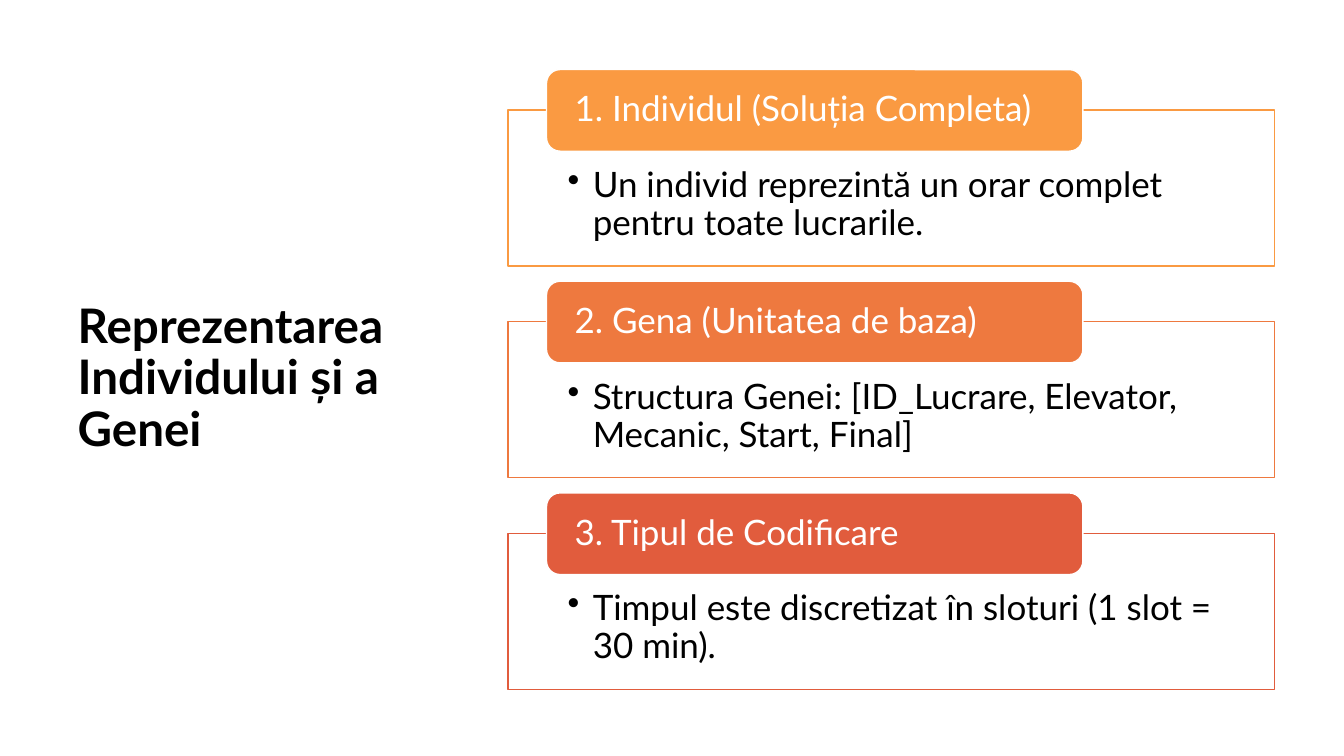
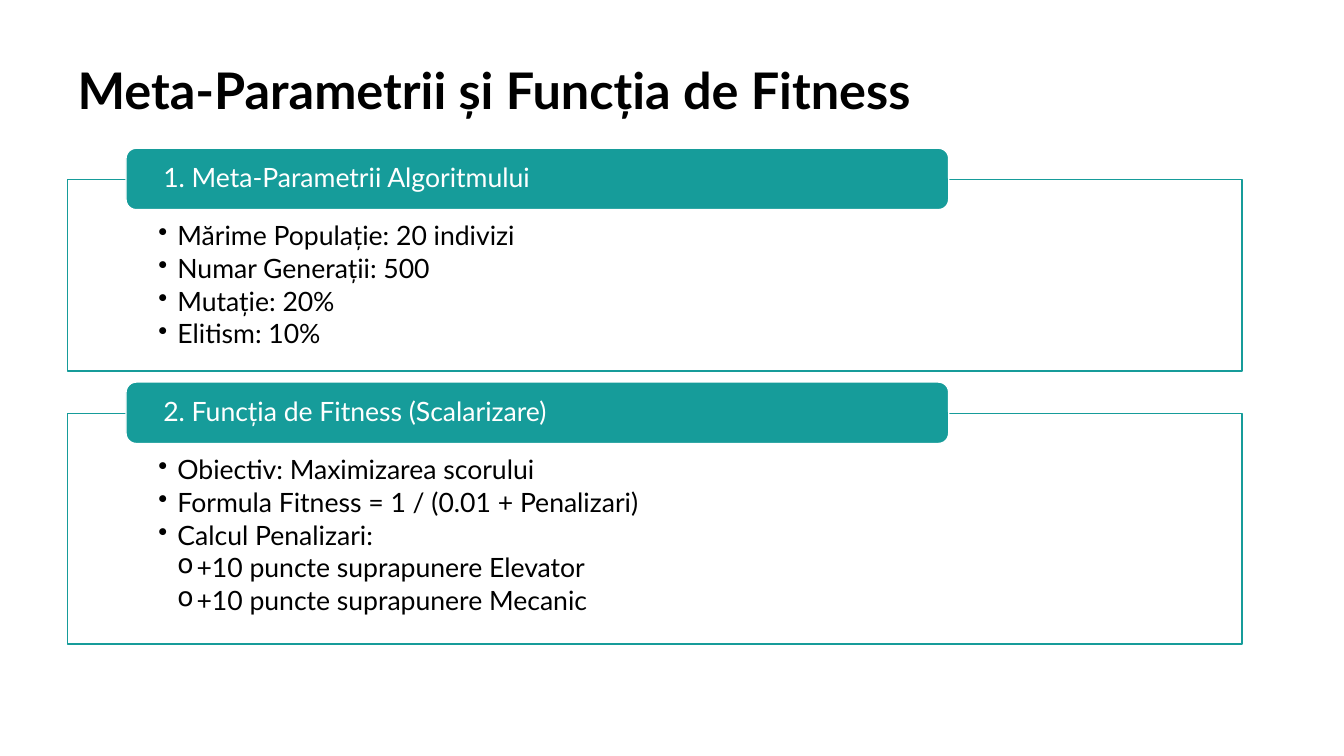
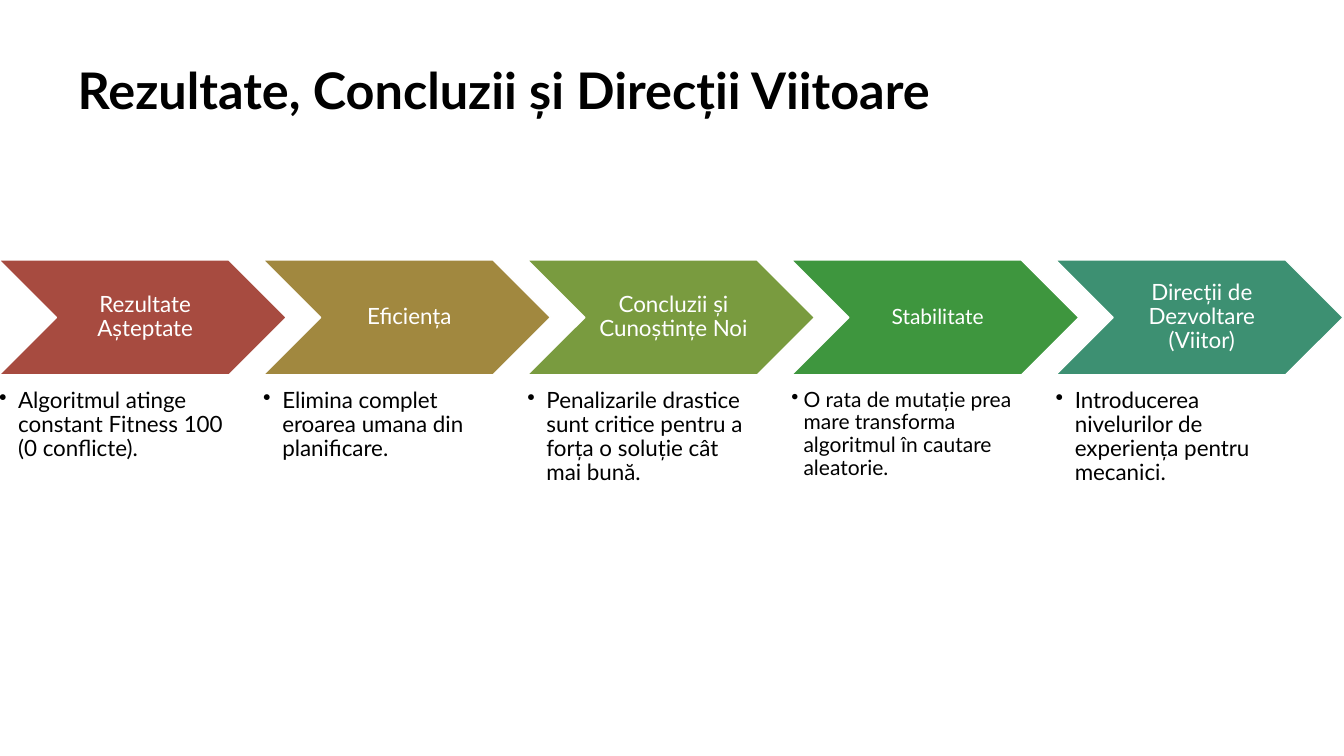
from dataclasses import dataclass

from lxml import etree
from pptx import Presentation
from pptx.dml.color import RGBColor
from pptx.enum import shapes, text
from pptx.oxml import ns
from pptx.util import Inches, Pt


@dataclass(frozen=True)
class Theme:
    font: str = "Lato"
    ink: str = "000000"
    paper: str = "FFFFFF"
    amber: str = "FA9A42"
    orange: str = "EE793F"
    coral: str = "E15C3D"
    teal: str = "169C9A"
    steps: tuple = ("A74B40", "A1883F", "799B3F", "3E963E", "3D9072")
    title_large: int = 36
    title_side: int = 34
    gene: int = 25
    parameter: int = 19
    step: int = 16
    step_small: int = 15
    line_spacing: float = 0.9
    item_spacing: float = 0.15
    panel_opacity: int = 90


@dataclass(frozen=True)
class StackStyle:
    left: float
    top: float
    width: float
    tab_indent: float
    tab_width: float
    tab_height: float
    tab_lift: float
    gap: float
    size: int
    bullet_indent: float
    panel_margins: tuple
    tab_margin: float


THEME = Theme()
MAIN_BULLET, SUB_BULLET = "•", "o"

GENE_STACK = StackStyle(
    left=5.04, top=0.69, width=7.6, tab_indent=0.38, tab_width=5.32,
    tab_height=0.81, tab_lift=0.4, gap=0.15, size=THEME.gene,
    bullet_indent=0.25, panel_margins=(0.59, 0.57, 0.59, 0.19), tab_margin=0.24)
PARAMETER_STACK = StackStyle(
    left=0.67, top=1.47, width=11.65, tab_indent=0.58, tab_width=8.16,
    tab_height=0.61, tab_lift=0.31, gap=0.11, size=THEME.parameter,
    bullet_indent=0.19, panel_margins=(0.9, 0.43, 0.9, 0.15), tab_margin=0.34)

GENE_CARDS = [
    ("1. Individul (Soluția Completa)", THEME.amber, 1.55,
     [(1, "Un individ reprezintă un orar complet pentru toate lucrarile.")]),
    ("2. Gena (Unitatea de baza)", THEME.orange, 1.55,
     [(1, "Structura Genei: [ID_Lucrare, Elevator, Mecanic, Start, Final]")]),
    ("3. Tipul de Codificare", THEME.coral, 1.55,
     [(1, "Timpul este discretizat în sloturi (1 slot = 30 min).")]),
]
PARAMETER_CARDS = [
    ("1. Meta-Parametrii Algoritmului", THEME.teal, 1.9, [
        (1, "Mărime Populație: 20 indivizi"),
        (1, "Numar Generații: 500"),
        (1, "Mutație: 20%"),
        (1, "Elitism: 10%"),
    ]),
    ("2. Funcția de Fitness (Scalarizare)", THEME.teal, 2.29, [
        (1, "Obiectiv: Maximizarea scorului"),
        (1, "Formula Fitness = 1 / (0.01 + Penalizari)"),
        (1, "Calcul Penalizari:"),
        (2, "+10 puncte suprapunere Elevator"),
        (2, "+10 puncte suprapunere Mecanic"),
    ]),
]
STEPS = [
    ("Rezultate Așteptate",
     "Algoritmul atinge constant Fitness 100 (0 conflicte).", THEME.step, 0.19),
    ("Eficiența",
     "Elimina complet eroarea umana din planificare.", THEME.step, 0.19),
    ("Concluzii și Cunoștințe Noi",
     "Penalizarile drastice sunt critice pentru a forța o soluție cât mai bună.",
     THEME.step, 0.19),
    ("Stabilitate",
     "O rata de mutație prea mare transforma algoritmul în cautare aleatorie.",
     THEME.step_small, 0.12),
    ("Direcții de Dezvoltare (Viitor)",
     "Introducerea nivelurilor de experiența pentru mecanici.", THEME.step, 0.19),
]


def color(value):
    return RGBColor.from_string(value)


def place(shape, left, top, width, height):
    shape.left, shape.top = Inches(left), Inches(top)
    shape.width, shape.height = Inches(width), Inches(height)


def format_paragraph(paragraph, size, ink, align=text.PP_ALIGN.LEFT, bold=False):
    paragraph.alignment = align
    paragraph.line_spacing = THEME.line_spacing
    for run in paragraph.runs:
        run.font.name = THEME.font
        run.font.size = Pt(size)
        run.font.bold = bold
        run.font.color.rgb = color(ink)


def set_frame(frame, margins, anchor):
    frame.word_wrap = True
    frame.auto_size = text.MSO_AUTO_SIZE.NONE
    frame.vertical_anchor = anchor
    (frame.margin_left, frame.margin_top,
     frame.margin_right, frame.margin_bottom) = map(Inches, margins)


def set_bullet(paragraph, character, level, indent):
    properties = paragraph._p.get_or_add_pPr()
    properties.set("marL", str(Inches(indent * level)))
    properties.set("indent", str(-Inches(indent)))
    bullet = etree.SubElement(properties, ns.qn("a:buChar"))
    bullet.set("char", character)


def fill_list(frame, items, size, indent):
    frame.text = "\n".join(item for _, item in items)
    for paragraph, (level, _) in zip(frame.paragraphs, items):
        set_bullet(paragraph, MAIN_BULLET if level == 1 else SUB_BULLET, level, indent)
        paragraph.level = level
        paragraph.space_after = Pt(size * THEME.item_spacing)
        format_paragraph(paragraph, size, THEME.ink)


def add_block(slide, kind, box, fill, line):
    shape = slide.shapes.add_shape(kind, *map(Inches, box))
    shape.shadow.inherit = False
    shape.fill.solid()
    shape.fill.fore_color.rgb = color(fill)
    shape.line.color.rgb = color(line)
    shape.line.width = Pt(1)
    return shape


def set_opacity(shape, percent):
    fill_color = shape.fill._xPr.find(ns.qn("a:solidFill"))[0]
    alpha = etree.SubElement(fill_color, ns.qn("a:alpha"))
    alpha.set("val", str(percent * 1000))


def add_label(shape, label, size, margins, align=text.PP_ALIGN.LEFT):
    frame = shape.text_frame
    set_frame(frame, margins, text.MSO_ANCHOR.MIDDLE)
    frame.text = label
    format_paragraph(frame.paragraphs[0], size, THEME.paper, align)


def add_titled_slide(presentation, title, box, size, anchor=text.MSO_ANCHOR.TOP):
    slide = presentation.slides.add_slide(
        presentation.slide_layouts.get_by_name("Title Only"))
    shape = slide.shapes.title
    place(shape, *box)
    set_frame(shape.text_frame, (0.1, 0.05, 0.1, 0.05), anchor)
    shape.text_frame.text = title
    format_paragraph(shape.text_frame.paragraphs[0], size, THEME.ink, bold=True)
    return slide


def add_card_stack(slide, style, cards):
    tab_top = style.top
    for label, accent, height, items in cards:
        panel_top = tab_top + style.tab_lift
        panel = add_block(slide, shapes.MSO_SHAPE.RECTANGLE,
                          (style.left, panel_top, style.width, height),
                          THEME.paper, accent)
        set_opacity(panel, THEME.panel_opacity)
        set_frame(panel.text_frame, style.panel_margins, text.MSO_ANCHOR.TOP)
        fill_list(panel.text_frame, items, style.size, style.bullet_indent)
        tab = add_block(slide, shapes.MSO_SHAPE.ROUNDED_RECTANGLE,
                        (style.left + style.tab_indent, tab_top,
                         style.tab_width, style.tab_height),
                        accent, THEME.paper)
        add_label(tab, label, style.size, (style.tab_margin, 0, style.tab_margin, 0))
        tab_top = panel_top + height + style.gap


def add_step(slide, left, accent, label, detail, size, indent):
    chevron = add_block(slide, shapes.MSO_SHAPE.CHEVRON,
                        (left, 2.58, 2.85, 1.14), accent, THEME.paper)
    add_label(chevron, label, size, (0.07, 0.02, 0.02, 0.02), text.PP_ALIGN.CENTER)
    box = slide.shapes.add_textbox(*map(Inches, (left, 3.86, 2.28, 1.28)))
    set_frame(box.text_frame, (0, 0, 0, 0), text.MSO_ANCHOR.TOP)
    fill_list(box.text_frame, [(1, detail)], size, indent)


def main():
    presentation = Presentation()
    presentation.slide_width = Inches(13.33)
    presentation.slide_height = Inches(7.5)

    slide = add_titled_slide(presentation, "Reprezentarea Individului și a Genei",
                             (0.67, 0.6, 3.82, 6.33), THEME.title_side,
                             text.MSO_ANCHOR.MIDDLE)
    add_card_stack(slide, GENE_STACK, GENE_CARDS)

    slide = add_titled_slide(presentation, "Meta-Parametrii și Funcția de Fitness",
                             (0.67, 0.6, 11.65, 1.24), THEME.title_large)
    add_card_stack(slide, PARAMETER_STACK, PARAMETER_CARDS)

    slide = add_titled_slide(presentation, "Rezultate, Concluzii și Direcții Viitoare",
                             (0.67, 0.6, 11.97, 1.24), THEME.title_large)
    for index, (accent, step) in enumerate(zip(THEME.steps, STEPS)):
        add_step(slide, -0.01 + 2.62 * index, accent, *step)

    presentation.save("out.pptx")


if __name__ == "__main__":
    main()
